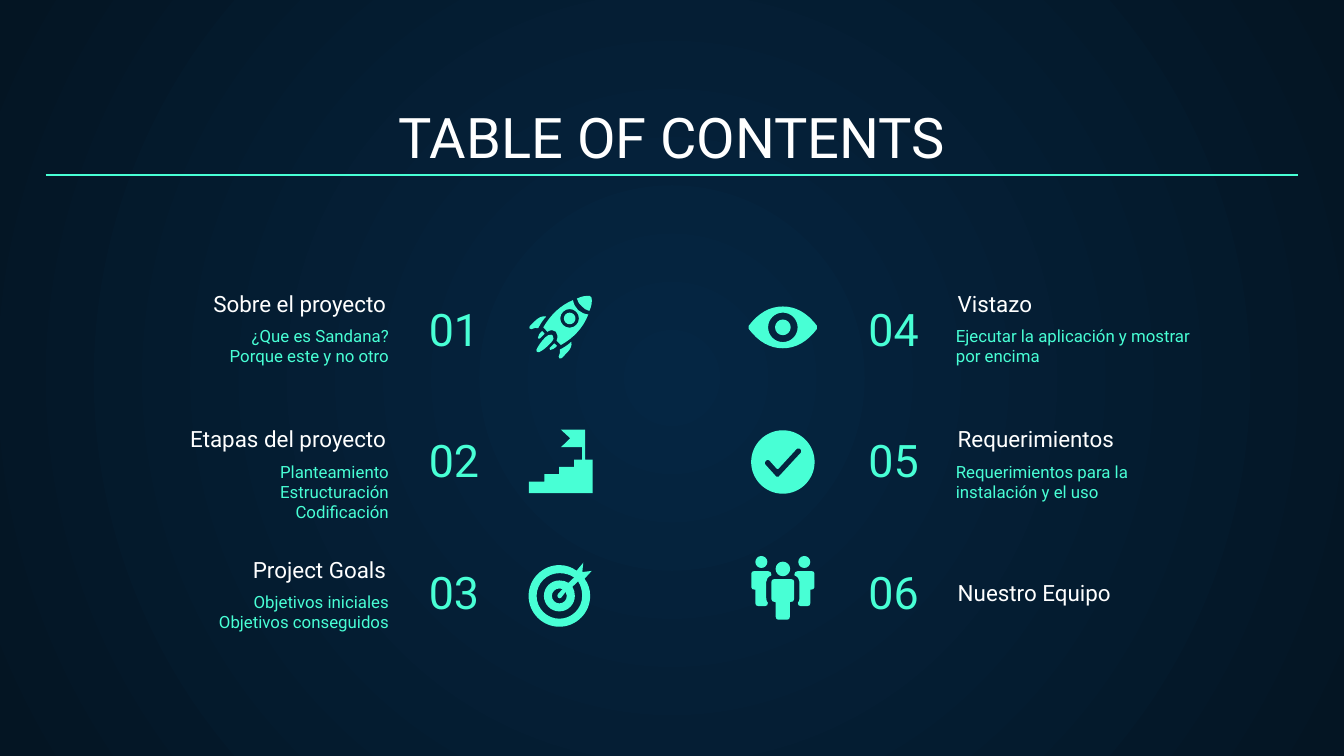
from pptx import Presentation
from pptx import util as u
from pptx.dml import color
from pptx.enum import shapes, text
from pptx.oxml import ns, parse_xml

COLORS = {"mint": "48FFD5", "white": "FFFFFF", "center": "052643", "edge": "041523"}
FONT = "Roboto"
LEFT, CENTER, RIGHT = text.PP_ALIGN.LEFT, text.PP_ALIGN.CENTER, text.PP_ALIGN.RIGHT

SECTIONS = [
    ("01", "Sobre el proyecto", ["¿Que es Sandana?", "Porque este y no otro"]),
    ("02", "Etapas del proyecto", ["Planteamiento", "Estructuración", "Codificación"]),
    ("03", "Project Goals", ["Objetivos iniciales", "Objetivos conseguidos"]),
    ("04", "Vistazo", ["Ejecutar la aplicación y mostrar por encima"]),
    ("05", "Requerimientos", ["Requerimientos para la instalación y el uso"]),
    ("06", "Nuestro Equipo", []),
]
HEADING_TOPS = [161.7, 234.4, 304.6]
DETAIL_TOPS = [167.2, 239.9, 309.8]
LONE_HEADING_TOP = 316.5
NUMBER_TOP, NUMBER_STEP = 150.1, 70.4
COLUMNS = [
    {"heading": (50.6, 163.4), "detail": (56.9, 158.4), "number": (222.6, 92.9),
     "text_align": RIGHT, "number_align": LEFT},
    {"heading": (506, 163.4), "detail": (505, 149), "number": (406.4, 92.9),
     "text_align": LEFT, "number_align": RIGHT},
]


def rgb(name):
    return color.RGBColor.from_string(COLORS[name])


def paint_background(slide):
    fill = slide.background.fill
    fill.gradient()
    for stop, name, position in zip(fill.gradient_stops, ("center", "edge"), (0, 1)):
        stop.color.rgb = rgb(name)
        stop.position = position
    gradient = slide.element.find(".//" + ns.qn("a:gradFill"))
    gradient.replace(gradient.find(ns.qn("a:lin")), parse_xml(
        f'<a:path {ns.nsdecls("a")} path="circle">'
        '<a:fillToRect l="50000" t="50000" r="50000" b="50000"/></a:path>'))


def add_text(slide, lines, left, top, width, height, *, size, tint="mint",
             align=LEFT, anchor=text.MSO_ANCHOR.BOTTOM):
    box = slide.shapes.add_textbox(u.Pt(left), u.Pt(top), u.Pt(width), u.Pt(height))
    frame = box.text_frame
    frame.word_wrap = True
    frame.vertical_anchor = anchor
    frame.margin_left = frame.margin_right = u.Pt(7.2)
    frame.margin_top = frame.margin_bottom = u.Pt(7.2)
    for index, line in enumerate(lines):
        para = frame.paragraphs[0] if index == 0 else frame.add_paragraph()
        para.alignment = align
        span = para.add_run()
        span.text = line
        span.font.size = u.Pt(size)
        span.font.name = FONT
        span.font.color.rgb = rgb(tint)


def add_rule(slide, left, right, top):
    rule = slide.shapes.add_connector(
        shapes.MSO_CONNECTOR.STRAIGHT, u.Pt(left), u.Pt(top), u.Pt(right), u.Pt(top))
    rule.line.color.rgb = rgb("mint")
    rule.line.width = u.Pt(0.75)
    rule.element.spPr.append(parse_xml(f'<a:effectLst {ns.nsdecls("a")}/>'))


def segments(nodes):
    previous = nodes[0]
    for node in nodes[1:]:
        if len(node) == 4:
            (ax, ay), (bx, by, cx, cy) = previous, node
            node = ((ax + 2 * bx) / 3, (ay + 2 * by) / 3,
                    (cx + 2 * bx) / 3, (cy + 2 * by) / 3, cx, cy)
        yield list(zip(node[::2], node[1::2]))
        previous = node[-2:]


def bend(shape, pieces):
    outline = shape.element.find(".//" + ns.qn("a:path"))
    steps = iter(outline.findall(ns.qn("a:lnTo")))
    for piece in pieces:
        group = [next(steps) for _ in piece]
        if len(group) == 3:
            curve = parse_xml(f'<a:cubicBezTo {ns.nsdecls("a")}/>')
            group[0].addprevious(curve)
            for step in group:
                curve.append(step[0])
                outline.remove(step)


def add_outline(slide, x, y, *contours):
    def place(point):
        return u.Pt(x + point[0]), u.Pt(y + point[1])

    builder = slide.shapes.build_freeform(*place(contours[0][0]), scale=1.0)
    pieces = []
    for index, contour in enumerate(contours):
        if index:
            builder.move_to(*place(contour[0]))
        drawn = list(segments(contour))
        builder.add_line_segments([place(point) for piece in drawn for point in piece])
        pieces += drawn
    shape = builder.convert_to_shape()
    bend(shape, pieces)
    shape.shadow.inherit = False
    shape.fill.solid()
    shape.fill.fore_color.rgb = rgb("mint")
    shape.line.fill.background()


def circle(x, y, r):
    k = 0.55 * r
    return [(x, y - r), (x - k, y - r, x - r, y - k, x - r, y),
            (x - r, y + k, x - k, y + r, x, y + r),
            (x + k, y + r, x + r, y + k, x + r, y),
            (x + r, y - k, x + k, y - r, x, y - r)]


def flip(nodes):
    return [tuple(v if i % 2 else -v for i, v in enumerate(node)) for node in nodes]


def flip_diagonal(nodes, total=34.1):
    return [tuple(total - node[i ^ 1] for i in range(len(node))) for node in nodes]


def add_rocket(slide, x, y):
    nose = [(25.9, 1.6), (26.6, 4.2, 28.4, 5.6), (30.2, 7.6, 32.6, 8.2),
            (34.3, 4.5, 33.8, 1.2), (33.7, 0.3, 32.8, 0.2), (29.5, -0.2, 25.9, 1.6)]
    body = [(23.8, 2.4), (14, 6.5, 7.9, 17), (10.1, 19.4), (12.8, 17.6, 14.6, 19.3),
            (16.2, 21.2, 15, 24.2), (17.3, 26.5), (28, 20.5, 32, 10.1),
            (25.2, 9.2, 23.8, 2.4)]
    fin = [(9.4, 11.2), (6.5, 10.5, 3.5, 13.5), (0.6, 16.4), (-0.2, 17.8, 1.4, 18),
           (3.4, 17, 5.2, 17.4), (6.8, 14, 9.4, 11.2)]
    spark = [(7.2, 18.9), (5, 21, 5, 22.6), (5.2, 23.4, 6, 22.9), (8.6, 20.4)]
    flame = [(12.2, 20.9), (10.5, 20.8, 9, 22.3), (5.5, 26, 4.2, 29),
             (4, 30.6, 5.6, 30.3), (8.5, 29, 12.2, 25), (14.2, 22.8, 12.9, 21.3),
             (12.7, 20.9, 12.2, 20.9)]
    for part in (spark, flip_diagonal(spark), flame, fin, flip_diagonal(fin),
                 circle(22, 12.2, 3.1), nose):
        add_outline(slide, x, y, part)
    add_outline(slide, x, y, circle(22, 12.2, 5), body)


def add_stairs(slide, x, y):
    add_outline(slide, x, y, [
        (17.2, 0), (22.2, 4.6), (17.2, 9.4), (28.6, 9.4), (28.6, 16), (24.3, 16),
        (24.3, 19.9), (16.3, 19.9), (16.3, 23.8), (8.3, 23.8), (8.3, 27.9), (0, 27.9),
        (0, 34), (34.2, 34), (34.2, 16), (30.2, 16), (30.2, 0)])


def add_target(slide, x, y):
    center = [(0, -4), *circle(0, 0, 4)[1:4], (4, -1.1, 3.4, -2.2), (1.1, 0.8),
              (0.2, 1.7, -0.7, 0.9), (-1.5, 0, -0.7, -1.1), (1.7, -3.7), (0.8, -4, 0, -4)]
    gap = [(7.9, -9.9), (4.9, -7), (2.8, -8.3, 0, -8.3), *circle(0, 0, 8.3)[1:4],
           (8.3, -2.8, 7, -4.9), (10, -7.8), (12.2, -4.5, 12.2, 0),
           *flip(circle(0, 0, 12.2))[2:5], (4.5, -12.2, 7.9, -9.9)]
    rim = [(12.8, -17.8), (9.2, -13.5), (5.2, -16.5, 0, -16.5), *circle(0, 0, 16.5)[1:4],
           (16.5, -5.2, 13.5, -9.2), (17.3, -13.4), (12.3, -12.8)]
    add_outline(slide, x, y, center, gap, rim)


def add_eye(slide, x, y):
    lids = [(0, -11.2), (-10.5, -11.2, -18.3, -0.8), (-18.9, 0, -18.3, 0.8),
            (-10.5, 11.2, 0, 11.2), (10.5, 11.2, 18.3, 0.8), (18.9, 0, 18.3, -0.8),
            (10.5, -11.2, 0, -11.2)]
    add_outline(slide, x, y, circle(0, 0, 4.2), circle(0, 0, 7.9), lids)


def add_check(slide, x, y):
    tick = [(7.6, -7.2), (8.3, -7.8, 9, -7.2), (9.8, -6.4), (10.3, -5.8, 9.8, -5.2),
            (-2.3, 7.9), (-2.9, 8.4, -3.5, 7.9), (-9.6, 1.1), (-10, 0.5, -9.6, 0),
            (-8.6, -1.1), (-8, -1.5, -7.4, -1), (-3.2, 3.7), (-2.8, 4, -2.4, 3.7)]
    add_outline(slide, x, y, tick, circle(0, 0, 17))


def add_team(slide, x, y):
    middle = [(-4.6, 12.3), (-6.1, 12.3, -6.1, 13.8), (-6.1, 23), (-6.1, 24.6, -3.8, 24.6),
              (-3.8, 32.4), (-3.8, 34, -2.3, 34), (2.3, 34), (3.8, 34, 3.8, 32.4),
              (3.8, 24.6), (6.1, 24.6, 6.1, 23), (6.1, 13.8), (6.1, 12.3, 4.6, 12.3)]
    side = [(-15.4, 8), (-16.9, 8, -16.9, 9.4), (-16.9, 16.6), (-16.9, 18, -14.7, 18),
            (-14.7, 25.2), (-14.7, 26.7, -13.2, 26.7), (-9.5, 26.7), (-8, 26.7, -8, 25),
            (-8.9, 24, -8.9, 22.5), (-8.9, 13.7), (-8.9, 11.5, -6.1, 10.2),
            (-6.1, 8, -7.9, 8)]
    head = circle(-11.5, 3.1, 3.2)
    for part in (head, side, flip(head), flip(side), middle, circle(0, 6.8, 3.9)):
        add_outline(slide, x, y, part)


def add_section(slide, index, number, heading, details):
    column, row = COLUMNS[index // 3], index % 3
    left, width = column["number"]
    add_text(slide, [number], left, NUMBER_TOP + row * NUMBER_STEP, width, 47.5,
             size=24, align=column["number_align"])
    left, width = column["heading"]
    add_text(slide, [heading], left, HEADING_TOPS[row] if details else LONE_HEADING_TOP,
             width, 15.1, size=12, tint="white", align=column["text_align"])
    if details:
        left, width = column["detail"]
        add_text(slide, details, left, DETAIL_TOPS[row], width, 39.6, size=9,
                 align=column["text_align"], anchor=text.MSO_ANCHOR.TOP)


def main():
    deck = Presentation()
    deck.slide_width, deck.slide_height = u.Pt(720), u.Pt(405)
    page = deck.slides.add_slide(deck.slide_layouts[6])
    paint_background(page)
    add_text(page, ["TABLE OF CONTENTS"], 24.5, 50.7, 671, 47.5, size=30, tint="white",
             align=CENTER)
    add_rule(page, 24.5, 695.5, 93.8)
    for index, section in enumerate(SECTIONS):
        add_section(page, index, *section)
    add_rocket(page, 283.2, 158.4)
    add_stairs(page, 283.3, 230.2)
    add_target(page, 299.7, 319.3)
    add_eye(page, 419.4, 175.4)
    add_check(page, 419.4, 247.5)
    add_team(page, 419.4, 298)
    deck.save("out.pptx")


if __name__ == "__main__":
    main()
